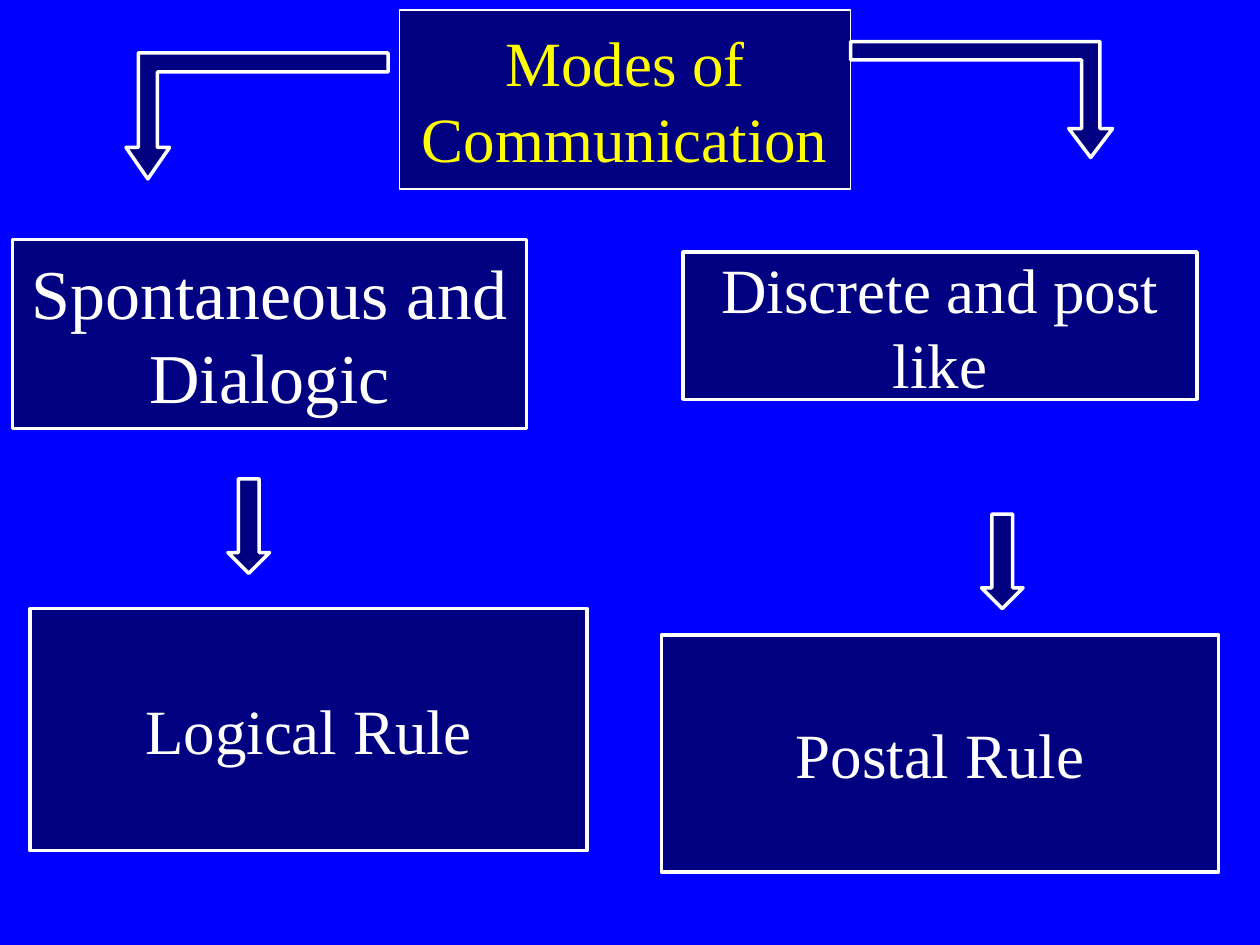
import pptx
import pptx.util
import pptx.dml.color
import pptx.enum.shapes
import pptx.enum.text

KIND = pptx.enum.shapes.MSO_SHAPE
INCH = pptx.util.Inches
FONT = "Times New Roman"
BLUE, NAVY, WHITE, YELLOW = "0000FF", "000080", "FFFFFF", "FFFF00"

# Content: wording, place (left, top, width, height) and text size
TITLE = ("Modes of Communication", (3.17, 0.08, 3.58, 1.42), 36)
BOXES = [
    ("Spontaneous and Dialogic", (0.1, 1.9, 4.08, 1.5), 40),
    ("Logical Rule", (0.24, 4.83, 4.42, 1.92), 36),
    ("Discrete and post like", (5.42, 2, 4.08, 1.17), 36),
    ("Postal Rule", (5.25, 5.04, 4.42, 1.88), 36),
]
# Bent arrows: place, adjustments, mirrored or not
BENDS = [
    ((6.75, 0.33, 2.08, 0.92), (0.158, 0.189, 0.25), True),
    ((1, 0.42, 2.08, 1), (0.151, 0.173, 0.25), False),
]
DOWNS = [(1.81, 3.8), (7.79, 4.08)]
DOWN_SIZE = (0.33, 0.75)


def hue(code):
    return pptx.dml.color.RGBColor.from_string(code)


def paint(shape, width=2):
    shape.fill.solid()
    shape.fill.fore_color.rgb = hue(NAVY)
    shape.line.color.rgb = hue(WHITE)
    shape.line.width = pptx.util.Pt(width)


def draw(slide, kind, place):
    shape = slide.shapes.add_shape(kind, *map(INCH, place))
    shape.shadow.inherit = False
    paint(shape)
    return shape


def write(shape, text, size, color):
    frame = shape.text_frame
    frame.word_wrap = True
    frame.auto_size = pptx.enum.text.MSO_AUTO_SIZE.NONE
    frame.vertical_anchor = pptx.enum.text.MSO_ANCHOR.MIDDLE
    para = frame.paragraphs[0]
    para.alignment = pptx.enum.text.PP_ALIGN.CENTER
    para.line_spacing = 1.0
    run = para.add_run()
    run.text = text
    run.font.name = FONT
    run.font.size = pptx.util.Pt(size)
    run.font.color.rgb = hue(color)


def main():
    deck = pptx.Presentation()
    deck.slide_width, deck.slide_height = INCH(10), INCH(7.5)
    slide = deck.slides.add_slide(deck.slide_layouts[5])
    slide.background.fill.solid()
    slide.background.fill.fore_color.rgb = hue(BLUE)

    # Title
    text, place, size = TITLE
    title = slide.shapes.title
    title.left, title.top, title.width, title.height = map(INCH, place)
    paint(title, 0.75)
    write(title, text, size, YELLOW)

    # Bent arrows from the title to each mode
    for place, adjust, mirror in BENDS:
        bend = draw(slide, KIND.BENT_UP_ARROW, place)
        bend.rotation = 180
        for i, value in enumerate(adjust):
            bend.adjustments[i] = value
        if mirror:
            bend.element.spPr.xfrm.set("flipH", "1")

    # Modes and rules
    for text, place, size in BOXES:
        write(draw(slide, KIND.RECTANGLE, place), text, size, WHITE)

    # Arrows from mode to rule
    for spot in DOWNS:
        draw(slide, KIND.DOWN_ARROW, spot + DOWN_SIZE)

    deck.save("out.pptx")


if __name__ == "__main__":
    main()
